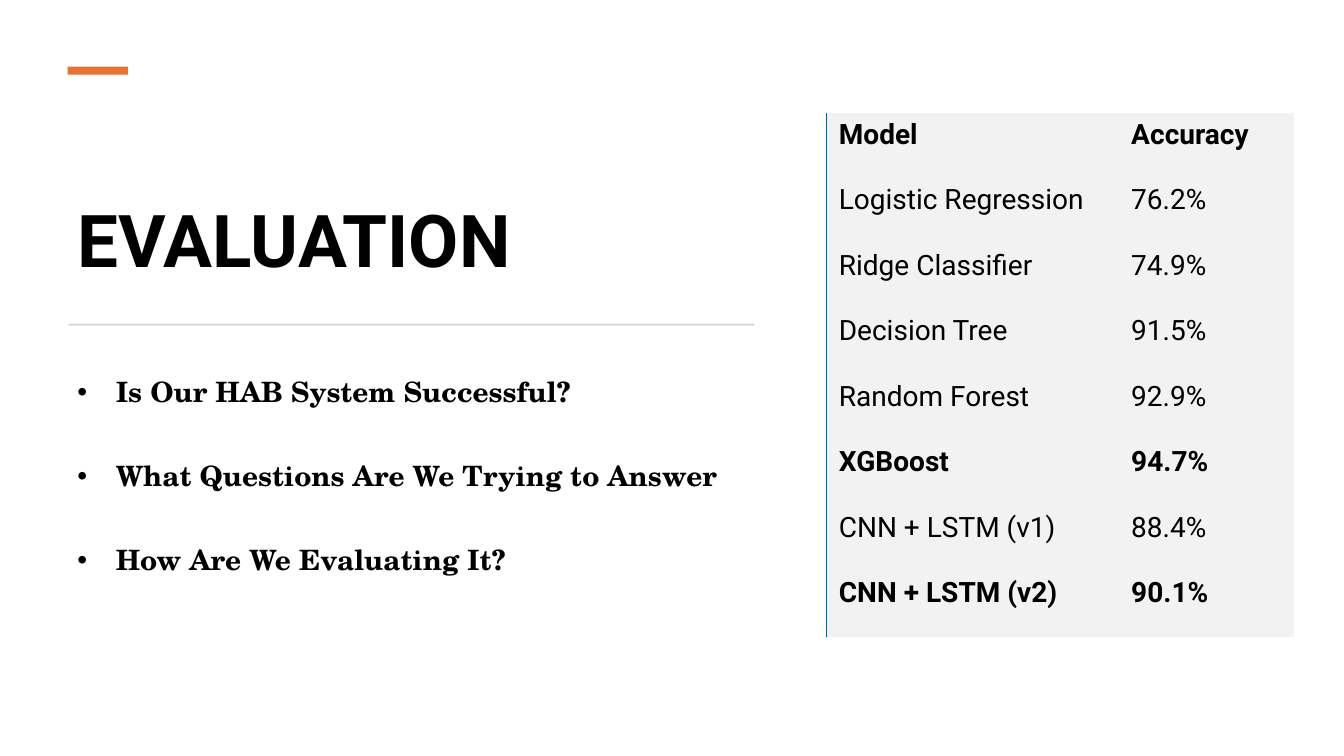
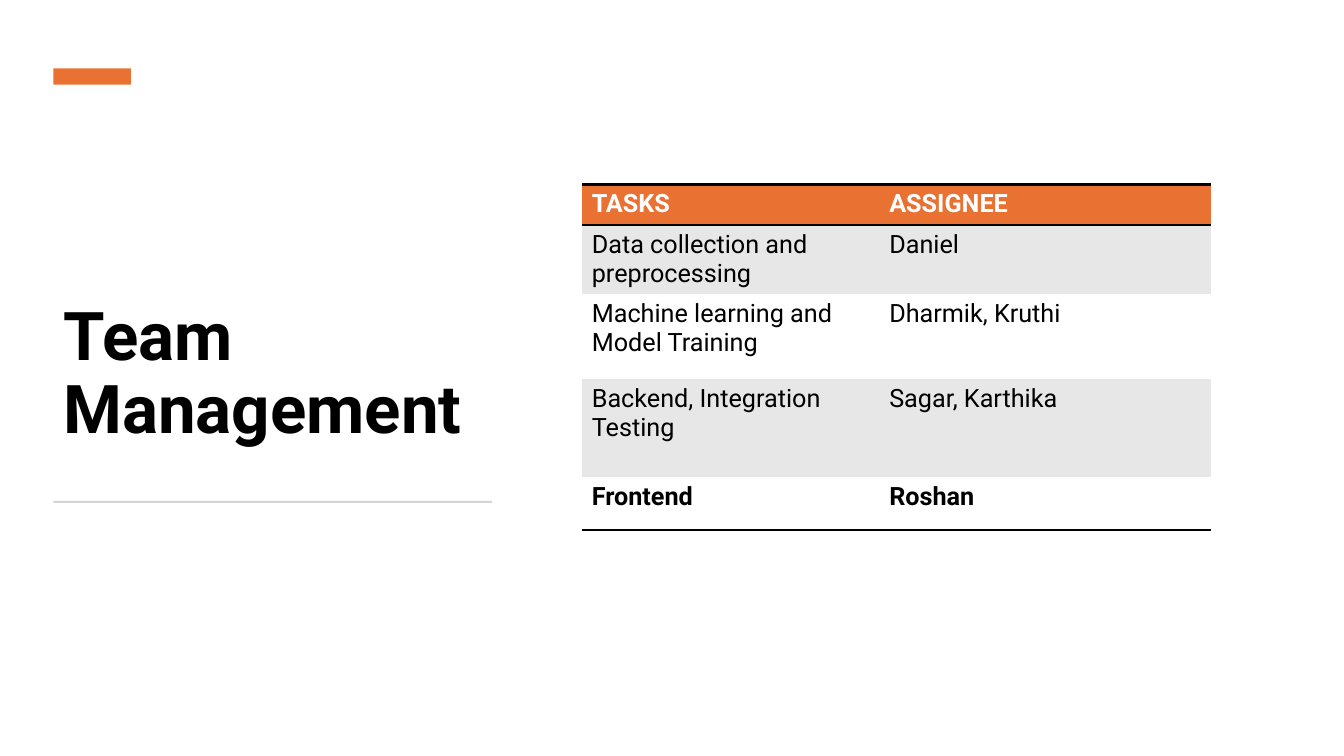
from lxml.etree import SubElement
from pptx import Presentation
from pptx.dml.color import RGBColor
from pptx.enum.shapes import MSO_SHAPE
from pptx.enum.text import MSO_ANCHOR, MSO_AUTO_SIZE, PP_ALIGN
from pptx.oxml.ns import qn
from pptx.util import Inches, Pt

# Shared look
COLORS = {
    "ink": "000000",
    "paper": "FFFFFF",
    "accent": "E97132",
    "divider": "D5D5D5",
    "edge": "156082",
    "panel": "F2F2F2",
    "band": "E7E7E7",
}
SANS, SERIF = "Roboto", "TeX Gyre Schola"
NO_STYLE_TABLE = "{2D5ABB26-0587-4C30-8999-92F81FD0307C}"
TITLE_FRAME = {"word_wrap": True, "auto_size": MSO_AUTO_SIZE.NONE,
               "vertical_anchor": MSO_ANCHOR.BOTTOM}
TITLE_PARAGRAPH = {"alignment": PP_ALIGN.LEFT, "line_spacing": 0.9}
SCORE_CELL = {"vertical_anchor": MSO_ANCHOR.MIDDLE,
              "margin_left": Inches(0.12), "margin_top": Inches(0.03),
              "margin_right": Inches(0.17), "margin_bottom": Inches(0.25)}
TASK_CELL = {"vertical_anchor": MSO_ANCHOR.TOP}

# Slide content
QUESTIONS = [
    "Is Our HAB System Successful?",
    "What Questions Are We Trying to Answer",
    "How Are We Evaluating It?",
]
SCORES = [
    ("Model", "Accuracy"),
    ("Logistic Regression", "76.2%"),
    ("Ridge Classifier", "74.9%"),
    ("Decision Tree", "91.5%"),
    ("Random Forest", "92.9%"),
    ("XGBoost", "94.7%"),
    ("CNN + LSTM (v1)", "88.4%"),
    ("CNN + LSTM (v2)", "90.1%"),
]
BOLD_SCORES = {"Model", "XGBoost", "CNN + LSTM (v2)"}
TASKS = [
    ("TASKS", "ASSIGNEE"),
    ("Data collection and preprocessing", "Daniel"),
    ("Machine learning and Model Training", "Dharmik, Kruthi"),
    ("Backend, Integration Testing", "Sagar, Karthika"),
    ("Frontend", "Roshan"),
]


def color(name):
    return RGBColor.from_string(COLORS[name])


def apply_format(target, values):
    for name, value in values.items():
        setattr(target, name, value)


def add_text(paragraph, text, size, font=SANS, ink="ink", bold=True):
    run = paragraph.add_run()
    run.text = text
    apply_format(run.font, {"name": font, "size": Pt(size), "bold": bold})
    run.font.color.rgb = color(ink)


def add_bar(slide, box, fill):
    shape = slide.shapes.add_shape(MSO_SHAPE.RECTANGLE, *map(Inches, box))
    shape.shadow.inherit = False
    shape.fill.solid()
    shape.fill.fore_color.rgb = color(fill)
    shape.line.fill.background()


def add_titled_slide(presentation, title, size, title_box, accent_box, divider_box):
    """Title with an accent bar above it and a divider below it."""
    slide = presentation.slides.add_slide(presentation.slide_layouts[5])
    shape = slide.shapes.title
    left, top, width, height = map(Inches, title_box)
    apply_format(shape, {"left": left, "top": top, "width": width, "height": height})
    apply_format(shape.text_frame, TITLE_FRAME)
    paragraph = shape.text_frame.paragraphs[0]
    apply_format(paragraph, TITLE_PARAGRAPH)
    add_text(paragraph, title, size)
    add_bar(slide, accent_box, "accent")
    add_bar(slide, divider_box, "divider")
    return slide


def add_bullets(slide, box, items):
    frame = slide.shapes.add_textbox(*map(Inches, box)).text_frame
    frame.word_wrap = True
    for index, item in enumerate(items):
        paragraph = frame.add_paragraph() if index else frame.paragraphs[0]
        paragraph.space_after = Pt(36)
        add_text(paragraph, item, 20, SERIF)
        properties = paragraph._p.get_or_add_pPr()
        properties.set("marL", str(Inches(0.38)))
        properties.set("indent", str(-Inches(0.38)))
        SubElement(properties, qn("a:buFont"), typeface="Arial")
        SubElement(properties, qn("a:buChar"), char="•")


def set_borders(cell, borders):
    """Draw the given sides as {side: (color, points)} and clear the others."""
    properties = cell._tc.get_or_add_tcPr()
    for side in "LRTB":
        line = SubElement(properties, qn(f"a:ln{side}"))
        if side in borders:
            name, points = borders[side]
            line.set("w", str(Pt(points)))
            fill = SubElement(line, qn("a:solidFill"))
            SubElement(fill, qn("a:srgbClr"), val=COLORS[name])
        else:
            SubElement(line, qn("a:noFill"))


def add_plain_table(slide, origin, columns, rows, data, size, cell_format, style):
    """Fill a table; style(row, column) gives fill, ink, bold and borders."""
    box = (*origin, sum(columns), sum(rows))
    frame = slide.shapes.add_table(len(rows), len(columns), *map(Inches, box))
    table = frame.table
    apply_format(table, {"first_row": False, "horz_banding": False})
    table._tbl.tblPr.find(qn("a:tableStyleId")).text = NO_STYLE_TABLE
    for column, width in zip(table.columns, columns):
        column.width = Inches(width)
    for row, height in zip(table.rows, rows):
        row.height = Inches(height)
    for row, texts in enumerate(data):
        for column, text in enumerate(texts):
            cell = table.cell(row, column)
            fill, ink, bold, borders = style(row, column)
            apply_format(cell, cell_format)
            set_borders(cell, borders)
            cell.fill.solid()
            cell.fill.fore_color.rgb = color(fill)
            add_text(cell.text_frame.paragraphs[0], text, size, ink=ink, bold=bold)


def score_style(row, column):
    borders = {} if column else {"L": ("edge", 1)}
    return "panel", "ink", SCORES[row][0] in BOLD_SCORES, borders


def task_style(row, column):
    rule = ("ink", 2)
    if row == 0:
        return "accent", "paper", True, {"T": rule, "B": rule}
    last = row == len(TASKS) - 1
    borders = {"T": rule} if row == 1 else {"B": rule} if last else {}
    return "band" if row % 2 else "paper", "ink", last, borders


def build_evaluation(presentation):
    slide = add_titled_slide(presentation, "EVALUATION", 52,
                             title_box=(0.67, 1.18, 6.86, 1.68),
                             accent_box=(0.67, 0.66, 0.6, 0.08),
                             divider_box=(0.68, 3.21, 6.8, 0.02))
    add_bullets(slide, (0.67, 3.67, 6.86, 3.09), QUESTIONS)
    add_plain_table(slide, (8.2, 1.12), [2.9, 1.73], [0.65] * len(SCORES),
                    SCORES, 20, SCORE_CELL, score_style)


def build_team(presentation):
    slide = add_titled_slide(presentation, "Team Management", 48,
                             title_box=(0.53, 0.99, 4.4, 3.5),
                             accent_box=(0.53, 0.68, 0.77, 0.16),
                             divider_box=(0.53, 4.97, 4.35, 0.02))
    add_plain_table(slide, (5.77, 1.83), [2.95, 3.29], [0.4, 0.68, 0.84, 0.98, 0.52],
                    TASKS, 18, TASK_CELL, task_style)


def main():
    presentation = Presentation()
    apply_format(presentation, {"slide_width": Inches(13.33),
                                "slide_height": Inches(7.5)})
    build_evaluation(presentation)
    build_team(presentation)
    presentation.save("out.pptx")


if __name__ == "__main__":
    main()
